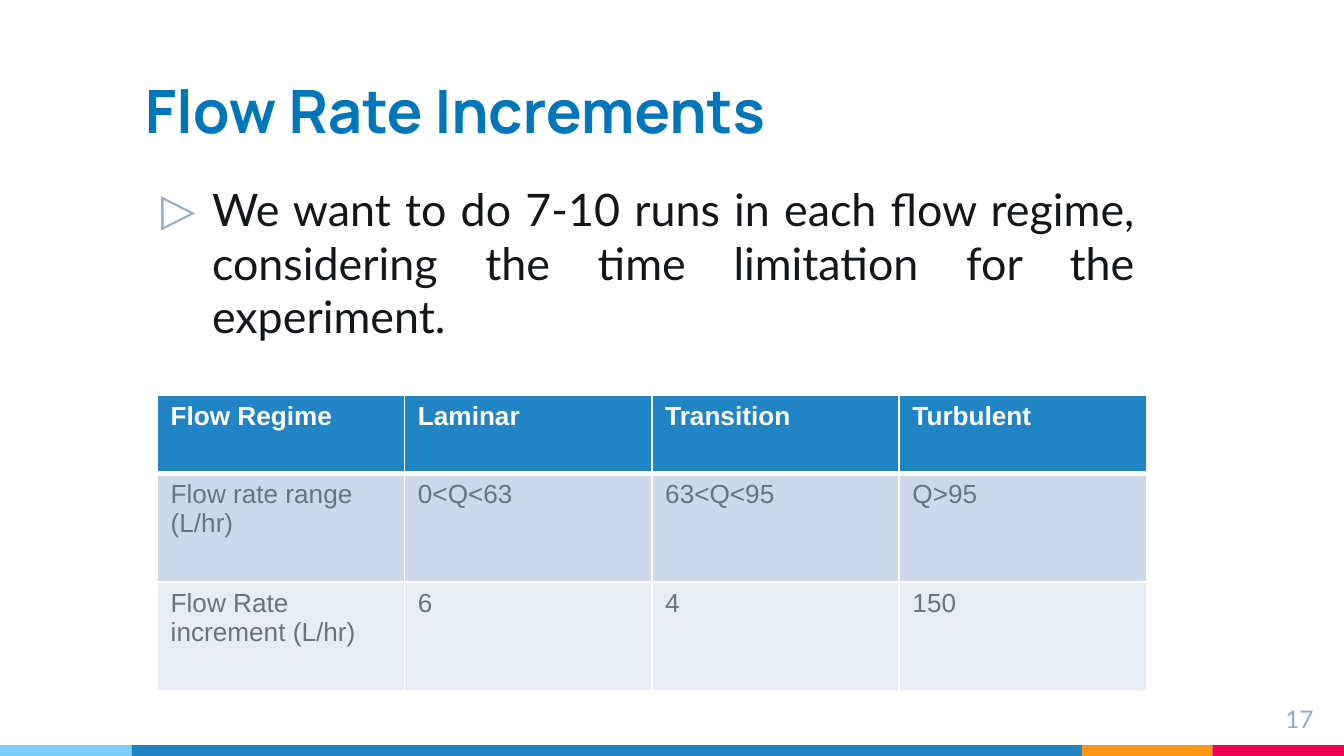
from dataclasses import dataclass

from lxml.etree import SubElement
from pptx import Presentation
from pptx.dml.color import RGBColor
from pptx.enum.shapes import MSO_SHAPE
from pptx.enum.text import MSO_ANCHOR, PP_ALIGN
from pptx.oxml.ns import qn
from pptx.util import Inches, Pt

# Content
TITLE = "Flow Rate Increments"
BULLET = "▷"
BODY = ("We want to do 7-10 runs in each flow regime, "
        "considering the time limitation for the experiment.")
PAGE_NUMBER = "17"
TABLE_ROWS = [
    ("Flow Regime", "Laminar", "Transition", "Turbulent"),
    ("Flow rate range (L/hr)", "0<Q<63", "63<Q<95", "Q>95"),
    ("Flow Rate increment (L/hr)", "6", "4", "150"),
]


@dataclass(frozen=True)
class Theme:
    title: str = "0276BA"
    body: str = "13171A"
    muted: str = "97ABBC"
    cell_text: str = "677480"
    white: str = "FFFFFF"
    row_fills: tuple = ("2185C5", "CDD9EA", "E8EDF5")
    title_font: str = "Manrope"
    body_font: str = "Lato"
    table_font: str = "Arial"
    title_size: int = 32
    body_size: int = 24
    table_size: int = 14
    number_size: int = 13


THEME = Theme()

# Layout, in inches, on a 16:9 slide
WIDTH = 10
HEIGHT = WIDTH * 9 / 16
MARGIN = 0.98
STRIP_HEIGHT = 0.08
TABLE_LEFT, TABLE_TOP, TABLE_WIDTH = 1.17, 2.94, 7.36
ROW_HEIGHTS = (0.58, 0.81, 0.81)
# Footer strip: colour and share of the slide width
STRIP = [("7ECEFD", 0.098), ("2185C5", 0.707), ("FF9715", 0.097), ("F20253", 0.098)]


def style(paragraph, font, size, color, bold=False):
    for run in paragraph.runs:
        run.font.name = font
        run.font.size = Pt(size)
        run.font.bold = bold
        run.font.color.rgb = RGBColor.from_string(color)


def add_text(slide, text, box, anchor=MSO_ANCHOR.TOP, align=PP_ALIGN.LEFT):
    text_frame = slide.shapes.add_textbox(*map(Inches, box)).text_frame
    text_frame.word_wrap = True
    text_frame.vertical_anchor = anchor
    text_frame.margin_left = text_frame.margin_right = Inches(0.1)
    text_frame.margin_top = text_frame.margin_bottom = Inches(0.1)
    text_frame.text = text
    paragraph = text_frame.paragraphs[0]
    paragraph.alignment = align
    return paragraph


def add_bullet(paragraph, character, color, indent, hanging):
    properties = paragraph._p.get_or_add_pPr()
    properties.set("marL", str(Inches(indent)))
    properties.set("indent", str(-Inches(hanging)))
    bullet_color = SubElement(properties, qn("a:buClr"))
    SubElement(bullet_color, qn("a:srgbClr"), val=color)
    SubElement(properties, qn("a:buFont"), typeface=THEME.body_font)
    SubElement(properties, qn("a:buChar"), char=character)


def add_borders(cell, top, bottom):
    properties = cell._tc.get_or_add_tcPr()
    for side, width in (("L", 1), ("R", 1), ("T", top), ("B", bottom)):
        line = SubElement(properties, qn(f"a:ln{side}"), w=str(Pt(width)))
        fill = SubElement(line, qn("a:solidFill"))
        SubElement(fill, qn("a:srgbClr"), val=THEME.white)


def add_strip(slide):
    left = 0
    for color, share in STRIP:
        width = share * WIDTH
        shape = slide.shapes.add_shape(
            MSO_SHAPE.RECTANGLE, Inches(left), Inches(HEIGHT - STRIP_HEIGHT),
            Inches(width), Inches(STRIP_HEIGHT))
        shape.shadow.inherit = False
        shape.fill.solid()
        shape.fill.fore_color.rgb = RGBColor.from_string(color)
        shape.line.fill.background()
        left += width


def add_flow_table(slide):
    columns = len(TABLE_ROWS[0])
    table = slide.shapes.add_table(
        len(TABLE_ROWS), columns, Inches(TABLE_LEFT), Inches(TABLE_TOP),
        Inches(TABLE_WIDTH), Inches(sum(ROW_HEIGHTS))).table
    for column in table.columns:
        column.width = Inches(TABLE_WIDTH / columns)
    for index, values in enumerate(TABLE_ROWS):
        table.rows[index].height = Inches(ROW_HEIGHTS[index])
        header = index == 0
        for column, value in enumerate(values):
            cell = table.cell(index, column)
            cell.text = value
            style(cell.text_frame.paragraphs[0], THEME.table_font, THEME.table_size,
                  THEME.white if header else THEME.cell_text, bold=header)
            # The rule under the header is heavier than the others
            add_borders(cell, top=3 if index == 1 else 1, bottom=3 if header else 1)
            cell.fill.solid()
            cell.fill.fore_color.rgb = RGBColor.from_string(THEME.row_fills[index])


def main():
    presentation = Presentation()
    presentation.slide_width = Inches(WIDTH)
    presentation.slide_height = Inches(HEIGHT)
    slide = presentation.slides.add_slide(presentation.slide_layouts[6])

    # Footer strip
    add_strip(slide)

    # Title
    title = add_text(slide, TITLE, (MARGIN, 0.24, 7.75, 0.94), MSO_ANCHOR.BOTTOM)
    style(title, THEME.title_font, THEME.title_size, THEME.title, bold=True)

    # Page number
    number = add_text(slide, PAGE_NUMBER, (9.27, 5.14, 0.6, 0.34), align=PP_ALIGN.RIGHT)
    style(number, THEME.body_font, THEME.number_size, THEME.muted)

    # Body text
    body = add_text(slide, BODY, (MARGIN, 1.25, 7.56, 3.88), align=PP_ALIGN.JUSTIFY)
    add_bullet(body, BULLET, THEME.muted, indent=0.5, hanging=0.38)
    style(body, THEME.body_font, THEME.body_size, THEME.body)

    # Flow regime table
    add_flow_table(slide)

    presentation.save("out.pptx")


if __name__ == "__main__":
    main()
